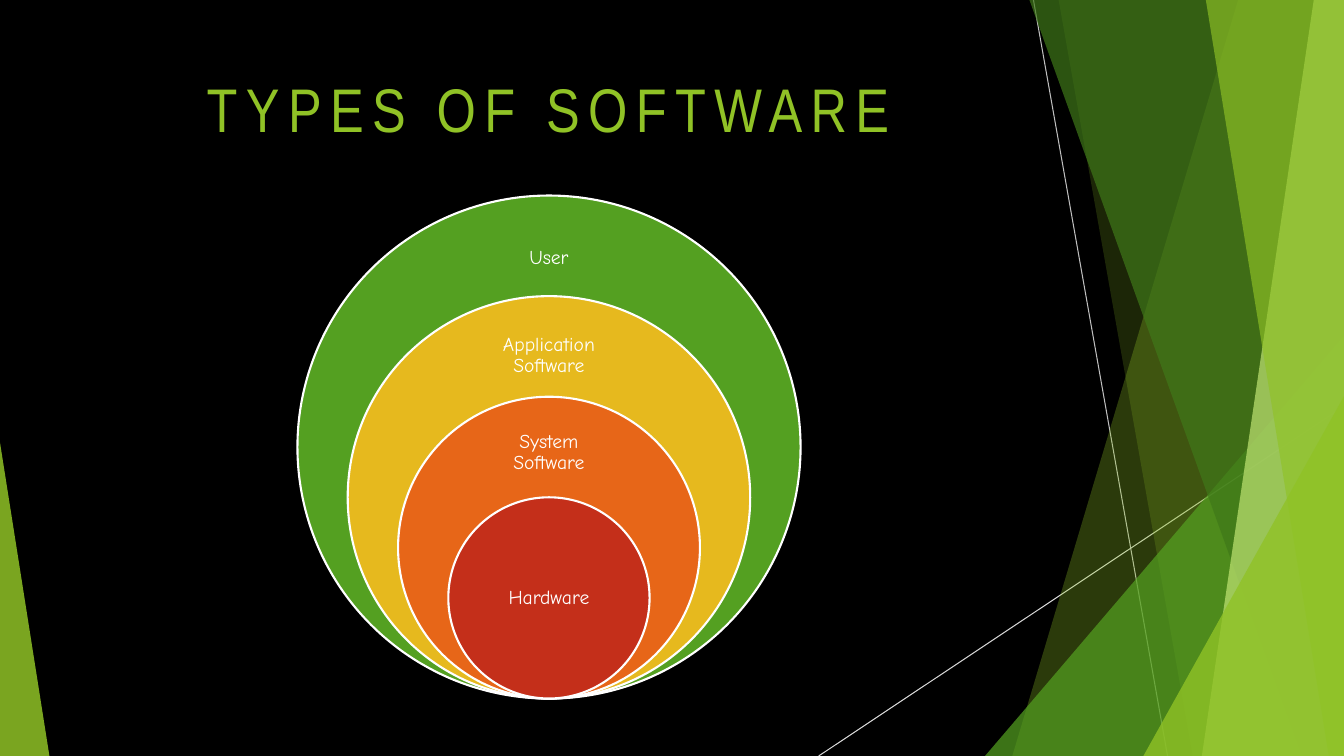
"""Build the slide that shows the types of software as stacked circles."""
from dataclasses import dataclass

from lxml import etree
from pptx import Presentation
from pptx.dml.color import RGBColor
from pptx.enum.shapes import MSO_CONNECTOR, MSO_SHAPE
from pptx.enum.text import MSO_ANCHOR, PP_ALIGN
from pptx.oxml.ns import qn
from pptx.util import Inches, Pt

STRAIGHT = MSO_CONNECTOR.STRAIGHT
TRIANGLE = MSO_SHAPE.ISOSCELES_TRIANGLE
OVAL = MSO_SHAPE.OVAL
TOP, MIDDLE = MSO_ANCHOR.TOP, MSO_ANCHOR.MIDDLE
CENTER = PP_ALIGN.CENTER

BLACK = RGBColor(0x00, 0x00, 0x00)
WHITE = RGBColor(0xFF, 0xFF, 0xFF)
GRAY = RGBColor(0xBF, 0xBF, 0xBF)
LIGHT_GRAY = RGBColor(0xD9, 0xD9, 0xD9)
LIME = RGBColor(0x90, 0xC2, 0x26)
PALE_LIME = RGBColor(0xC0, 0xE4, 0x74)
GREEN = RGBColor(0x54, 0xA0, 0x21)
DARK_GREEN = RGBColor(0x3F, 0x78, 0x19)
YELLOW = RGBColor(0xE6, 0xB9, 0x1E)
ORANGE = RGBColor(0xE7, 0x66, 0x18)
RED = RGBColor(0xC4, 0x2F, 0x1A)

WIDTH, HEIGHT = 13.33, 7.5
CENTER_X, CIRCLE_BOTTOM = 5.445, 6.93
CIRCLE_STEP = 0.998
LABEL_WIDTH = 1.4


@dataclass
class Line:
    start: tuple[float, float]
    end: tuple[float, float]
    color: RGBColor


@dataclass
class Band:
    """A facet from the top edge to the bottom edge, reaching the right side."""
    top_x: float
    bottom_x: float
    color: RGBColor
    opacity: int


@dataclass
class Corner:
    left: float
    top: float
    width: float
    apex: float
    color: RGBColor
    opacity: int


@dataclass
class Layer:
    label: str
    color: RGBColor
    label_top: float
    label_height: float


LINES = [
    Line((10.25, 0), (11.58, HEIGHT), GRAY),
    Line((WIDTH, 4.03), (8.12, HEIGHT), LIGHT_GRAY),
]
FACETS = [
    Band(12.28, 10.04, LIME, 30),
    Band(10.5, 11.83, LIME, 20),
    Corner(9.77, 3.33, 3.56, 1, GREEN, 72),
    Band(10.21, 12.91, DARK_GREEN, 70),
    Band(13.03, 11.92, PALE_LIME, 70),
    Band(11.96, 13.18, LIME, 65),
    Corner(11.34, 3.93, 1.99, 1, LIME, 80),
    Corner(0, 4.39, 0.49, 0, LIME, 85),
]
LAYERS = [
    Layer("User", GREEN, 2.19, 0.75),
    Layer("Application Software", YELLOW, 3.17, 0.72),
    Layer("System Software", ORANGE, 4.16, 0.67),
    Layer("Hardware", RED, 5.43, 1),
]
TITLE_FONT = {"name": "Arial Narrow", "size": Pt(44)}
LABEL_FONT = {"name": "Comic Neue", "size": Pt(14)}
LABEL_FRAME = {"vertical_anchor": MIDDLE} | {
    f"margin_{side}": Inches(0.11) for side in ("left", "right", "top", "bottom")
}


def set_all(target: object, values: dict) -> None:
    for name, value in values.items():
        setattr(target, name, value)


def add_line(slide, line: Line) -> None:
    ends = [Inches(v) for v in (*line.start, *line.end)]
    sp = slide.shapes.add_connector(STRAIGHT, *ends)
    sp.line.color.rgb = line.color
    sp.line.width = Pt(0.75)
    etree.SubElement(sp._element.spPr, qn("a:effectLst"))


def add_facet(slide, facet: Band | Corner) -> None:
    if isinstance(facet, Band):
        points = [(facet.top_x, 0), (WIDTH, 0), (WIDTH, HEIGHT), (facet.bottom_x, HEIGHT)]
        corners = [(Inches(x), Inches(y)) for x, y in points]
        builder = slide.shapes.build_freeform(*corners[0])
        builder.add_line_segments(corners[1:], close=True)
        sp = builder.convert_to_shape()
    else:
        box = (facet.left, facet.top, facet.width, HEIGHT - facet.top)
        sp = slide.shapes.add_shape(TRIANGLE, *map(Inches, box))
        sp.adjustments[0] = facet.apex
    sp.shadow.inherit = False
    sp.line.fill.background()
    sp.fill.solid()
    sp.fill.fore_color.rgb = facet.color
    color = sp._element.spPr.find(f"{qn('a:solidFill')}/{qn('a:srgbClr')}")
    etree.SubElement(color, qn("a:alpha"), val=str(facet.opacity * 1000))


def add_text(slide, text: str, box: tuple[float, ...], color: RGBColor,
             font: dict, frame: dict, line_spacing: float):
    tf = slide.shapes.add_textbox(*map(Inches, box)).text_frame
    set_all(tf, {"word_wrap": True} | frame)
    p = tf.paragraphs[0]
    set_all(p, {"alignment": CENTER, "line_spacing": line_spacing})
    r = p.add_run()
    r.text = text
    set_all(r.font, font)
    r.font.color.rgb = color
    return r


def add_layer(slide, layer: Layer, size: float) -> None:
    box = (CENTER_X - size / 2, CIRCLE_BOTTOM - size, size, size)
    sp = slide.shapes.add_shape(OVAL, *map(Inches, box))
    sp.shadow.inherit = False
    sp.fill.solid()
    sp.fill.fore_color.rgb = layer.color
    sp.line.color.rgb = WHITE
    sp.line.width = Pt(1.5)
    label_box = (CENTER_X - LABEL_WIDTH / 2, layer.label_top, LABEL_WIDTH, layer.label_height)
    add_text(slide, layer.label, label_box, WHITE, LABEL_FONT, LABEL_FRAME, 0.9)


def main() -> None:
    prs = Presentation()
    prs.slide_width, prs.slide_height = Inches(WIDTH), Inches(HEIGHT)
    s = prs.slides.add_slide(prs.slide_layouts[6])
    s.background.fill.solid()
    s.background.fill.fore_color.rgb = BLACK
    for line in LINES:
        add_line(s, line)
    for facet in FACETS:
        add_facet(s, facet)
    title = add_text(s, "TYPES OF SOFTWARE", (0.74, 0.29, 9.4, 1.44), LIME,
                     TITLE_FONT, {"vertical_anchor": TOP}, 1.5)
    title._r.get_or_add_rPr().set("spc", "600")
    for i, layer in enumerate(LAYERS):
        add_layer(s, layer, CIRCLE_STEP * (len(LAYERS) + 1 - i))
    prs.save("out.pptx")


if __name__ == "__main__":
    main()
